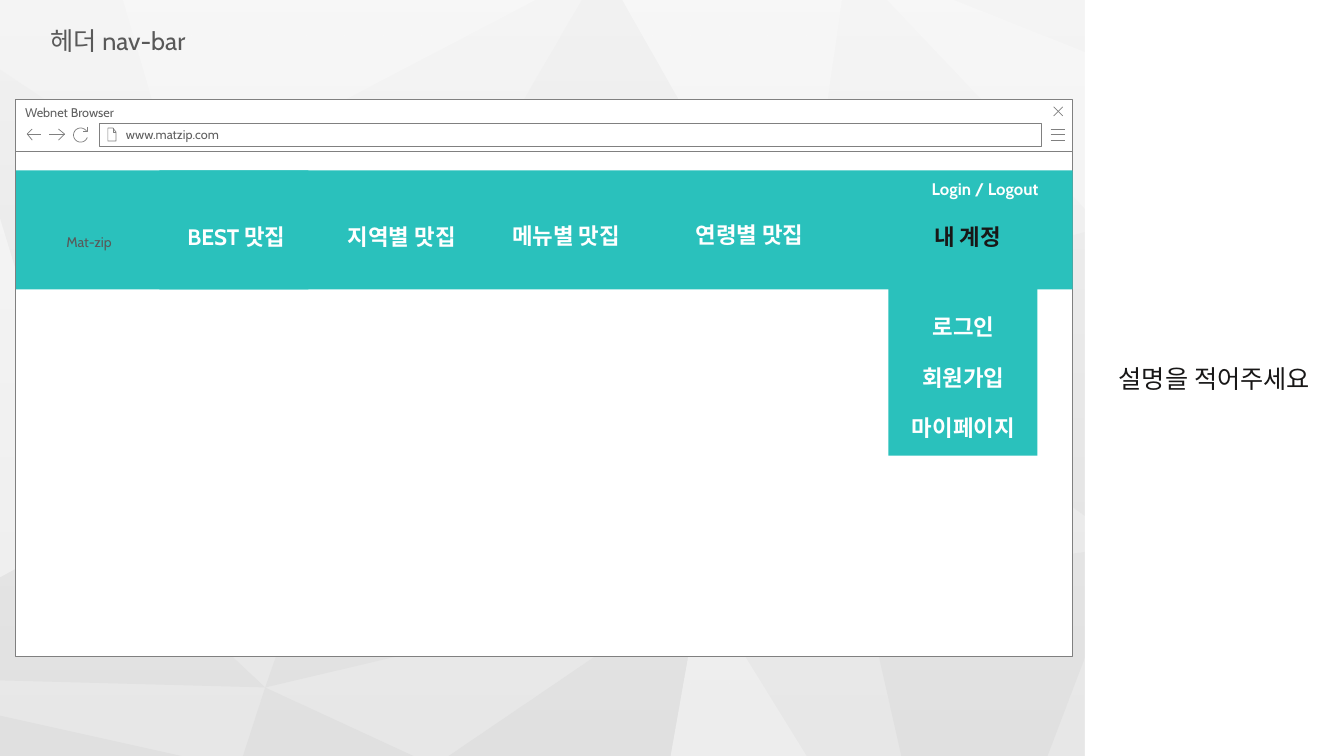
from math import cos, radians, sin

from pptx import Presentation
from pptx.dml.color import RGBColor
from pptx.enum.shapes import MSO_SHAPE
from pptx.enum.text import MSO_ANCHOR as ANCHOR, MSO_AUTO_SIZE as AUTO, PP_ALIGN as ALIGN
from pptx.oxml.ns import qn
from pptx.oxml.xmlchemy import OxmlElement
from pptx.util import Pt

PX = 9144
FONT = "Cabin"
WHITE = RGBColor(0xFF, 0xFF, 0xFF)
BASE = RGBColor(0xE7, 0xE7, 0xE7)
LIGHT = RGBColor(0xED, 0xED, 0xED)
SHADE = RGBColor(0xE0, 0xE0, 0xE0)
TEAL = RGBColor(0x2A, 0xC1, 0xBC)
OUTLINE = RGBColor(0x80, 0x80, 0x80)
GRAY = RGBColor(0x59, 0x59, 0x59)
CHROME_TEXT = RGBColor(0x5F, 0x5F, 0x5F)
INK = RGBColor(0x18, 0x17, 0x17)

LIGHT_FACETS = [
    [(695, 580), (665, 750), (800, 750)],
    [(1118, 542), (1173, 750), (1247, 750), (1333, 651), (1333, 633)],
    [(0, 216), (0, 573), (93, 522)],
    [(880, 0), (1094, 226), (1333, 161), (1333, 154), (946, 0)],
    [(122, 0), (176, 186), (531, 0)],
    [(617, 0), (791, 307), (835, 0)],
]
SHADE_FACETS = [
    [(93, 522), (0, 573), (0, 675), (263, 682)],
    [(263, 682), (241, 750), (410, 750)],
    [(1333, 652), (1247, 750), (1333, 750)],
    [(0, 710), (0, 750), (180, 750)],
    [(1118, 542), (855, 577), (894, 750), (1039, 750)],
    [(695, 580), (445, 750), (665, 750)],
    [(1333, 161), (791, 307), (1118, 542), (1333, 184)],
    [(695, 580), (387, 327), (263, 682)],
    [(1265, 0), (1333, 135), (1333, 0)],
    [(0, 69), (0, 216), (93, 522), (176, 186)],
    [(577, 0), (387, 327), (791, 307), (617, 0)],
]
RELOAD_ARC = [(65 + 7 * cos(radians(a)), 35 + 7 * sin(radians(a)))
              for a in range(20, 331, 10)]
ICONS = [
    [[(1027, y), (1041, y)] for y in (29, 34, 40)],
    [[(1039, 7), (1030, 16)], [(1030, 7), (1039, 16)]],
    [[(97, 28), (97, 32), (100, 32)],
     [(97, 28), (92, 28), (92, 41), (100, 41), (100, 32), (97, 28)]],
    [[(17, 40), (12, 34), (17, 29)], [(12, 34), (26, 34)]],
    [[(43, 29), (49, 34), (43, 40)], [(49, 34), (34, 34)]],
    [RELOAD_ARC, [(72, 27), (72, 31), (67, 31)]],
]
NAV_ITEMS = [("BEST 맛집", 147, 117, WHITE), ("지역별 맛집", 311, 117, WHITE),
             ("메뉴별 맛집", 474, 116, WHITE), ("연령별 맛집", 656, 115, WHITE),
             ("내 계정", 872, 117, INK)]
ACCOUNT_ITEMS = ["로그인", "회원가입", "마이페이지"]


def paint(sp, fill=None, line=None, width=0.5):
    sp.shadow.inherit = False
    if fill is None:
        sp.fill.background()
    else:
        sp.fill.solid()
        sp.fill.fore_color.rgb = fill
    if line is None:
        sp.line.fill.background()
    else:
        sp.line.color.rgb = line
        sp.line.width = Pt(width)
    return sp


def rect(slide, x, y, w, h, fill, line=None):
    sp = slide.shapes.add_shape(MSO_SHAPE.RECTANGLE, *(v * PX for v in (x, y, w, h)))
    return paint(sp, fill, line)


def outline(slide, x, y, strokes, closed=False, **style):
    strokes = [[((x + a) * PX, (y + b) * PX) for a, b in pts] for pts in strokes]
    builder = slide.shapes.build_freeform(*strokes[0][0], scale=1.0)
    for i, pts in enumerate(strokes):
        if i:
            builder.move_to(*pts[0])
        builder.add_line_segments(pts[1:], close=closed)
    return paint(builder.convert_to_shape(), **style)


def write(sp, text, size, color, bold=False, align=ALIGN.LEFT, anchor=ANCHOR.TOP,
          left=10, right=10, wrap=True, auto=AUTO.NONE):
    tf = sp.text_frame
    tf.auto_size = auto
    tf.word_wrap = wrap
    tf.vertical_anchor = anchor
    tf.margin_left, tf.margin_right = left * PX, right * PX
    tf.margin_top = tf.margin_bottom = 5 * PX
    p = tf.paragraphs[0]
    p.alignment = align
    r = p.add_run()
    r.text = text
    r.font.name = FONT
    r.font.size = Pt(size)
    r.font.bold = bold
    r.font.color.rgb = color


def label(slide, x, y, w, h, text, size=16, color=WHITE, bold=True, align=ALIGN.CENTER):
    sp = slide.shapes.add_textbox(*(v * PX for v in (x, y, w, h)))
    write(sp, text, size, color, bold=bold, align=align, auto=AUTO.SHAPE_TO_FIT_TEXT)


def add_background(slide, x, y, w, h):
    rect(slide, x, y, w, h, BASE)
    for color, facets in ((LIGHT, LIGHT_FACETS), (SHADE, SHADE_FACETS)):
        for pts in facets:
            outline(slide, x, y, [pts], closed=True, fill=color)
    veil = rect(slide, x, y, w, h, WHITE)
    veil.fill.gradient()
    veil.fill.gradient_angle = 270
    for stop, opacity in zip(veil.fill.gradient_stops, (60, 0)):
        stop.color.rgb = WHITE
    for clr, opacity in zip(veil._element.spPr.iter(qn("a:srgbClr")), (60, 0)):
        for child in list(clr):
            clr.remove(child)
        alpha = OxmlElement("a:alpha")
        alpha.set("val", str(opacity * 1000))
        clr.append(alpha)


def add_title(slide, x, y, w, h, text):
    sp = slide.shapes.title
    slide.shapes._spTree.append(sp._element)
    sp.left, sp.top, sp.width, sp.height = (v * PX for v in (x, y, w, h))
    write(sp, text, 18, GRAY, wrap=False, auto=AUTO.SHAPE_TO_FIT_TEXT)


def add_browser(slide, x, y, w, h):
    bar_h = 51
    rect(slide, x, y + bar_h, w, h - bar_h, WHITE, OUTLINE)
    bar = rect(slide, x, y, w, bar_h, WHITE, OUTLINE)
    write(bar, "Webnet Browser", 9, CHROME_TEXT, right=25)
    address = rect(slide, x + 84, y + 23, w - 115, 23, WHITE, OUTLINE)
    write(address, "www.matzip.com", 9, CHROME_TEXT, anchor=ANCHOR.MIDDLE, left=26)
    for strokes in ICONS:
        outline(slide, x, y, strokes, line=OUTLINE)


def add_nav_bar(slide, x, y, w, h):
    rect(slide, x, y, w, h, TEAL)
    rect(slide, x + 142, y, 148, h, TEAL)
    label(slide, x + 40, y + 58, 83, 27, "Mat-zip", 10, GRAY, bold=False, align=ALIGN.LEFT)
    label(slide, x + 888, y + 3, 146, 30, "Login / Logout", 12)
    for text, dx, dy, color in NAV_ITEMS:
        label(slide, x + dx - 1, y + dy - 70, 145, 37, text, color=color)


def add_account_menu(slide, x, y, w, h):
    rect(slide, x, y, w, h, TEAL)
    for i, text in enumerate(ACCOUNT_ITEMS):
        label(slide, x + 2, y + 20 + 50 * i, 145, 37, text)


def add_description(slide, x, y, w, h):
    panel = rect(slide, x, y, w, h, WHITE)
    write(panel, "설명을 적어주세요", 18, INK, align=ALIGN.CENTER, anchor=ANCHOR.MIDDLE)


def main():
    prs = Presentation()
    prs.slide_width, prs.slide_height = 1333 * PX, 750 * PX
    slide = prs.slides.add_slide(prs.slide_layouts[5])
    add_background(slide, 0, 0, 1333, 750)
    add_title(slide, 40, 20, 163, 40, "헤더 nav-bar")
    add_browser(slide, 15, 99, 1049, 552)
    add_nav_bar(slide, 16, 169, 1048, 118)
    add_account_menu(slide, 881, 286, 148, 166)
    add_description(slide, 1076, 0, 257, 750)
    prs.save("out.pptx")


if __name__ == "__main__":
    main()
